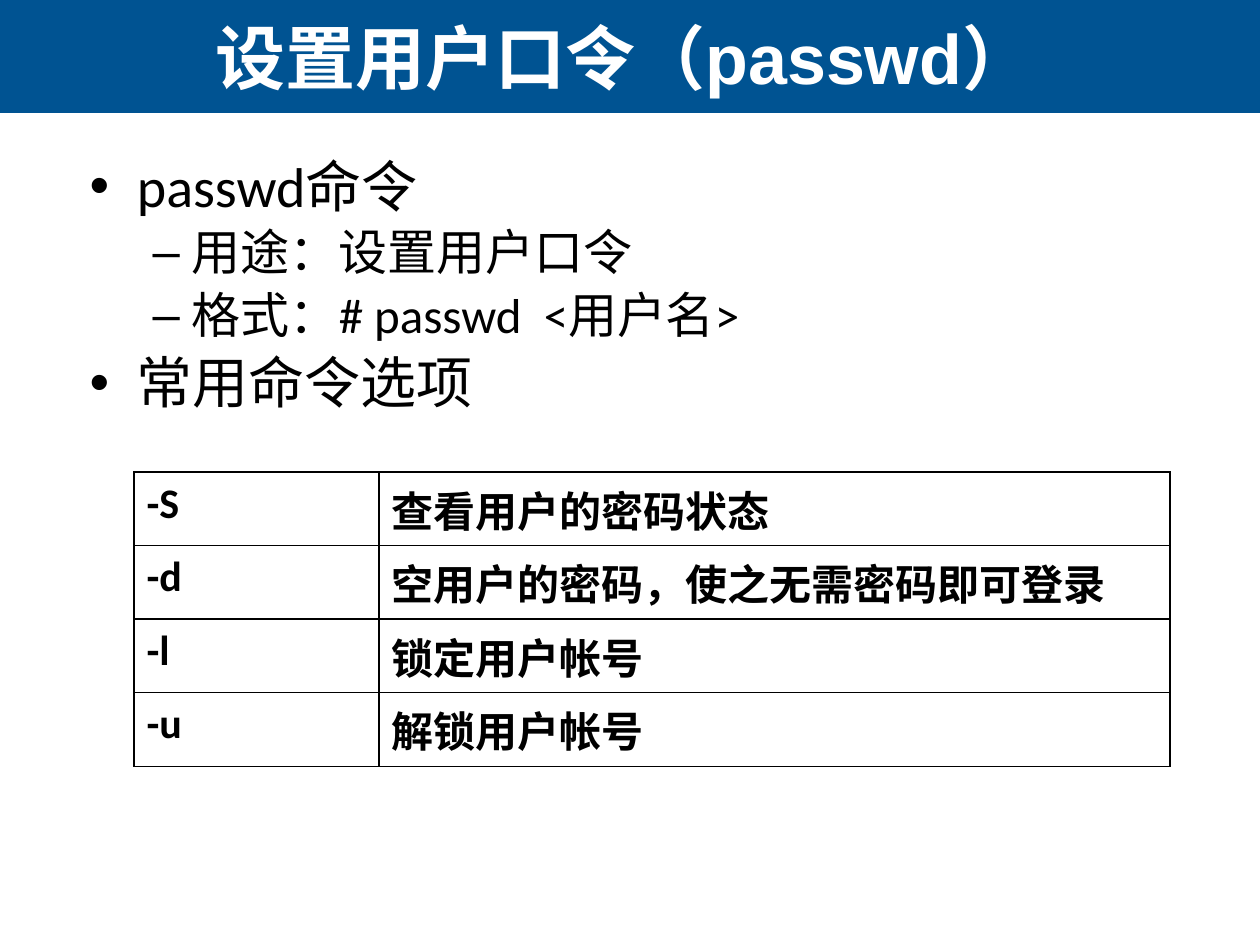
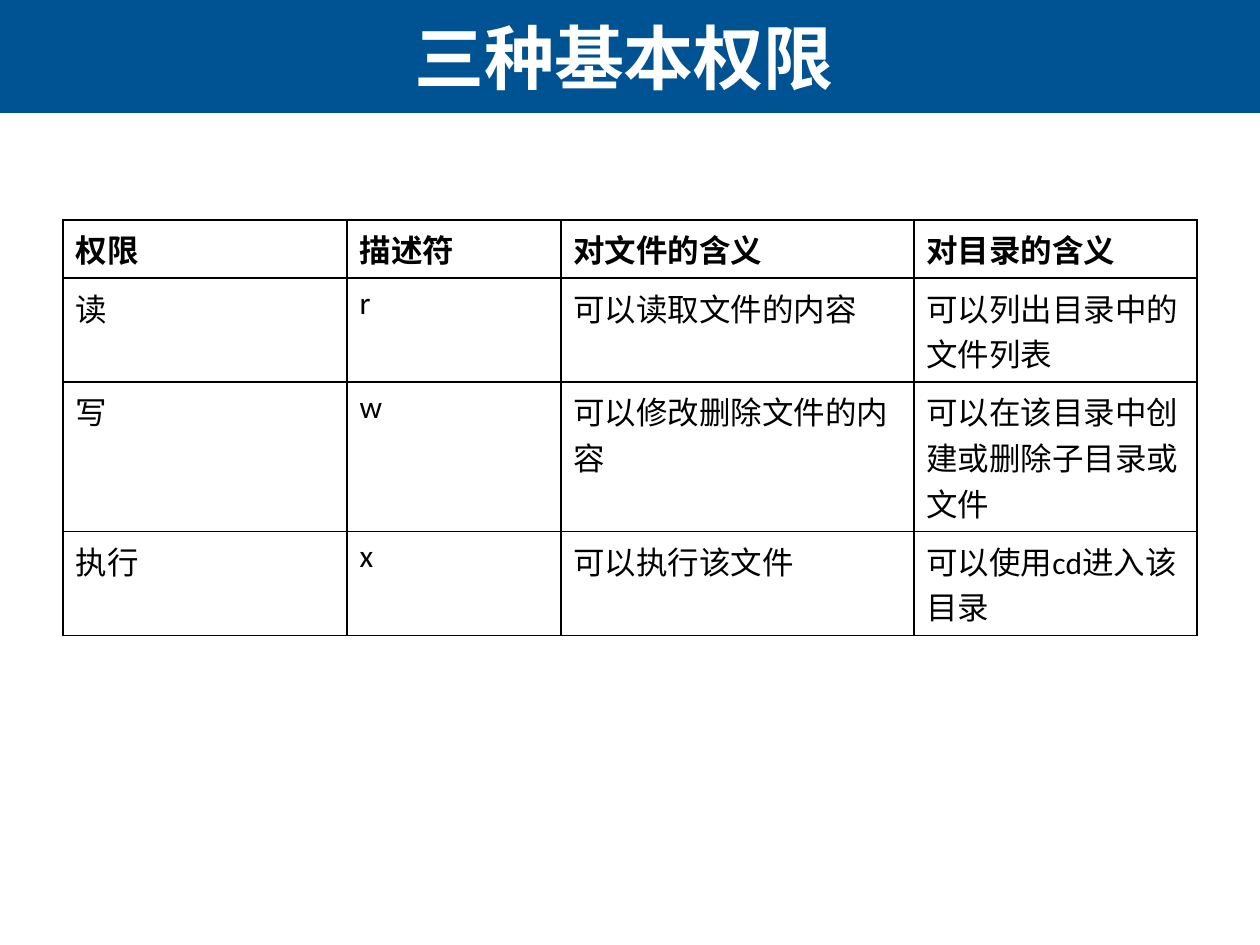
import lxml.etree
import pptx
import pptx.dml.color
import pptx.enum.shapes
import pptx.enum.text
import pptx.oxml.ns
import pptx.util

EMU_PER_PX = 914400 // 126
COLORS = {"band": "005392", "title": "FFFFFF", "ink": "000000"}
TITLE_AND_CONTENT, TITLE_ONLY = 1, 5


def px(length):
    return pptx.util.Emu(length * EMU_PER_PX)


def rgb(name):
    return pptx.dml.color.RGBColor.from_string(COLORS[name])


def write(paragraph, text, size, font="Calibri", color="ink", bold=False,
          align=None, level=0, line_spacing=None):
    """Put text in a paragraph with its format."""
    run = paragraph.add_run()
    run.text = text
    run.font.size = pptx.util.Pt(size)
    run.font.name = font
    run.font.bold = bold
    run.font.color.rgb = rgb(color)
    paragraph.level = level
    if align is not None:
        paragraph.alignment = align
    if line_spacing is not None:
        paragraph.line_spacing = line_spacing


def outline_cell(cell):
    """Draw a thin line on each side of a table cell."""
    properties = cell._tc.get_or_add_tcPr()
    for side in ("lnL", "lnR", "lnT", "lnB"):
        line = lxml.etree.SubElement(properties, pptx.oxml.ns.qn("a:" + side),
                                     w=str(pptx.util.Pt(1)))
        fill = lxml.etree.SubElement(line, pptx.oxml.ns.qn("a:solidFill"))
        lxml.etree.SubElement(fill, pptx.oxml.ns.qn("a:srgbClr"), val=COLORS["ink"])


class Deck:
    """The shared style and the slide being built."""

    def __init__(self):
        self.presentation = pptx.Presentation()
        self.presentation.slide_width = pptx.util.Inches(10)
        self.presentation.slide_height = pptx.util.Inches(7.5)
        self.slide = None

    def start_slide(self, layout, title):
        layouts = self.presentation.slide_layouts
        self.slide = self.presentation.slides.add_slide(layouts[layout])
        self.add_band()
        self.set_title(title)

    def add_band(self):
        band = self.slide.shapes.add_shape(
            pptx.enum.shapes.MSO_SHAPE.RECTANGLE, 0, 0,
            self.presentation.slide_width, px(113))
        band.shadow.inherit = False
        band.fill.solid()
        band.fill.fore_color.rgb = rgb("band")
        band.line.fill.background()
        # Send the band behind the placeholders
        self.slide.shapes._spTree.insert(2, band._element)

    def place(self, shape, left, top, width, height):
        shape.left, shape.top = px(left), px(top)
        shape.width, shape.height = px(width), px(height)

    def set_title(self, text):
        title = self.slide.shapes.title
        self.place(title, 2, 0, 1244, 113)
        title.text_frame.vertical_anchor = pptx.enum.text.MSO_ANCHOR.MIDDLE
        write(title.text_frame.paragraphs[0], text, 40, font="Arial", color="title",
              bold=True, align=pptx.enum.text.PP_ALIGN.CENTER)

    def add_bullets(self, items):
        body = self.slide.placeholders[1]
        self.place(body, 77, 145, 1134, 624)
        frame = body.text_frame
        for index, (level, text) in enumerate(items):
            paragraph = frame.add_paragraph() if index else frame.paragraphs[0]
            write(paragraph, text, 28 if level else 32, level=level,
                  line_spacing=0.9 if index else None)

    def add_table(self, left, top, widths, heights, rows, size, bold_rows):
        table = self.slide.shapes.add_table(
            len(rows), len(widths), px(left), px(top),
            px(sum(widths)), px(sum(heights))).table
        table.first_row = table.horz_banding = False
        for column, width in zip(table.columns, widths):
            column.width = px(width)
        for row, height in zip(table.rows, heights):
            row.height = px(height)
        for r, texts in enumerate(rows):
            for c, text in enumerate(texts):
                cell = table.cell(r, c)
                outline_cell(cell)
                cell.fill.background()
                write(cell.text_frame.paragraphs[0], text, size, bold=r < bold_rows)


def main():
    deck = Deck()

    # Setting a user's password
    deck.start_slide(TITLE_AND_CONTENT, "设置用户口令（passwd）")
    deck.add_bullets([
        (0, "passwd命令"),
        (1, "用途：设置用户口令"),
        (1, "格式：# passwd  <用户名>"),
        (0, "常用命令选项"),
    ])
    options = [
        ("-S", "查看用户的密码状态"),
        ("-d", "空用户的密码，使之无需密码即可登录"),
        ("-l", "锁定用户帐号"),
        ("-u", "解锁用户帐号"),
    ]
    deck.add_table(134, 472, (245, 791), [63] * len(options), options,
                   size=24, bold_rows=len(options))

    # The three basic permissions
    deck.start_slide(TITLE_ONLY, "三种基本权限")
    permissions = [
        ("权限", "描述符", "对文件的含义", "对目录的含义"),
        ("读", "r", "可以读取文件的内容", "可以列出目录中的文件列表"),
        ("写", "w", "可以修改删除文件的内容", "可以在该目录中创建或删除子目录或文件"),
        ("执行", "x", "可以执行该文件", "可以使用cd进入该目录"),
    ]
    deck.add_table(63, 220, (284, 214, 353, 283), (52, 91, 120, 91), permissions,
                   size=18, bold_rows=1)

    deck.presentation.save("out.pptx")


if __name__ == "__main__":
    main()
